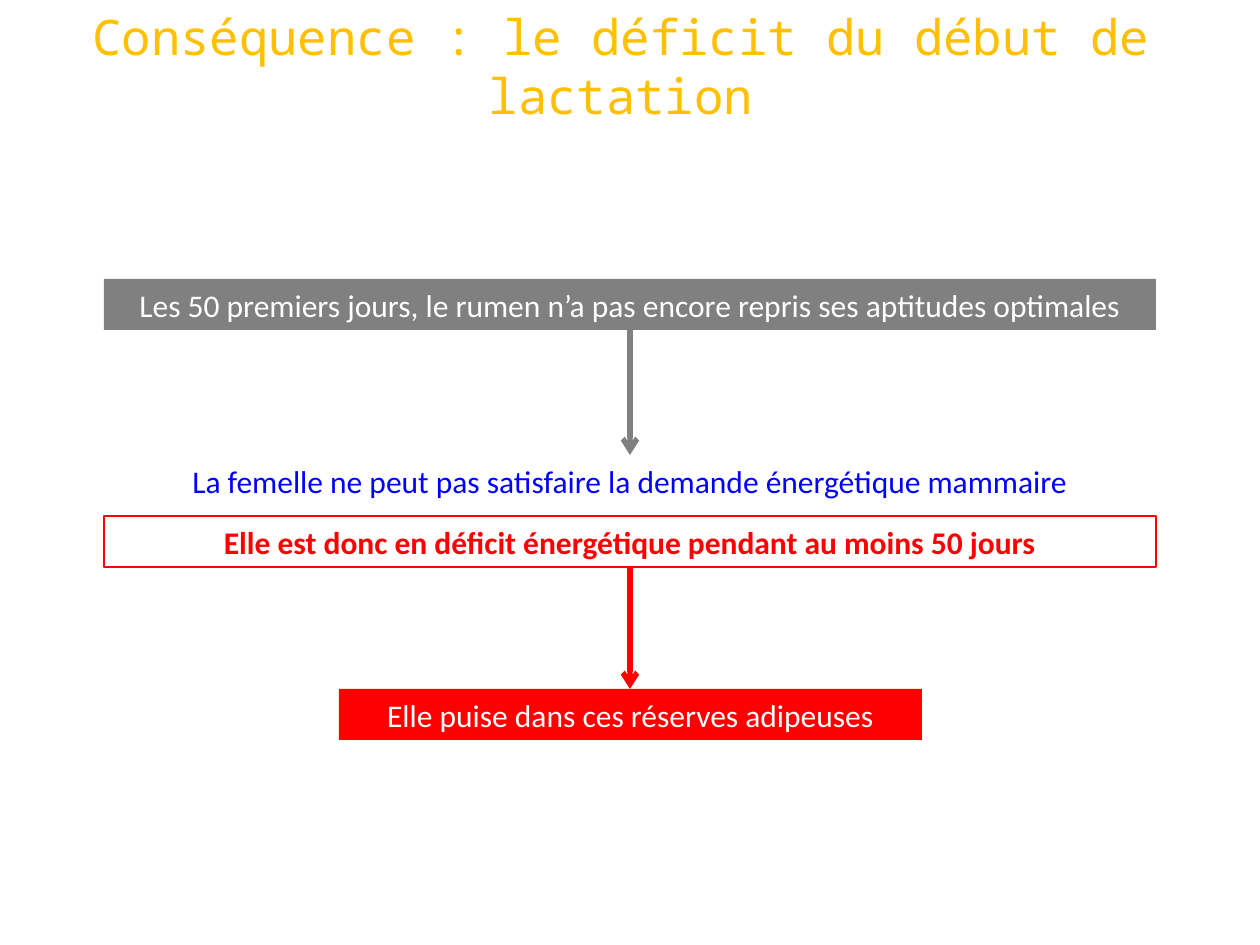
from lxml import etree
from pptx import Presentation
from pptx.dml.color import RGBColor
from pptx.enum.shapes import MSO_CONNECTOR, MSO_SHAPE
from pptx.enum.text import MSO_ANCHOR, PP_ALIGN
from pptx.oxml.ns import qn
from pptx.util import Emu, Pt

PX = 914400 // 126
CENTER = PP_ALIGN.CENTER
MIDDLE = MSO_ANCHOR.MIDDLE
RECTANGLE = MSO_SHAPE.RECTANGLE
STRAIGHT = MSO_CONNECTOR.STRAIGHT

AMBER = RGBColor(0xFF, 0xC0, 0x00)
GREY = RGBColor(0x80, 0x80, 0x80)
RED = RGBColor(0xFF, 0x00, 0x00)
BLUE = RGBColor(0x00, 0x00, 0xFF)
WHITE = RGBColor(0xFF, 0xFF, 0xFF)

CENTER_X = 630
STEP_HEIGHT = 51


def px(*lengths):
    return [Emu(length * PX) for length in lengths]


def write(shape, text, font_name, size, color, bold=False):
    """Fill a shape with one centred paragraph."""
    frame = shape.text_frame
    frame.word_wrap = True
    frame.vertical_anchor = MIDDLE
    paragraph = frame.paragraphs[0]
    paragraph.text = text
    paragraph.alignment = CENTER
    font = paragraph.font
    font.name = font_name
    font.size = Pt(size)
    font.bold = bold
    font.color.rgb = color


presentation = Presentation()
presentation.slide_width, presentation.slide_height = px(1260, 945)
slide = presentation.slides.add_slide(presentation.slide_layouts[5])

title = slide.shapes.title
title.left, title.top, title.width, title.height = px(54, 17, 1134, 97)
write(title, "Conséquence : le déficit du début de lactation",
      "Noto Sans Mono", 28, AMBER)

# Text, top, width, fill, outline, text colour, bold
steps = [
    ("Les 50 premiers jours, le rumen n’a pas encore repris ses aptitudes optimales",
     279, 1052, GREY, None, WHITE, False),
    ("La femelle ne peut pas satisfaire la demande énergétique mammaire",
     455, 1052, None, None, BLUE, False),
    ("Elle est donc en déficit énergétique pendant au moins 50 jours",
     516, 1052, None, RED, RED, True),
    ("Elle puise dans ces réserves adipeuses",
     689, 583, RED, None, WHITE, False),
]
for text, top, width, fill, outline, color, bold in steps:
    bounds = px(CENTER_X - width // 2, top, width, STEP_HEIGHT)
    if fill or outline:
        step = slide.shapes.add_shape(RECTANGLE, *bounds)
        step.shadow.inherit = False
    else:
        step = slide.shapes.add_textbox(*bounds)
    if fill:
        step.fill.solid()
        step.fill.fore_color.rgb = fill
    else:
        step.fill.background()
    if outline:
        step.line.color.rgb = outline
        step.line.width = Pt(0.75)
    else:
        step.line.fill.background()
    write(step, text, "Calibri", 18, color, bold)

for start, end, color in [(330, 455, GREY), (567, 689, RED)]:
    arrow = slide.shapes.add_connector(
        STRAIGHT, *px(CENTER_X, start, CENTER_X, end))
    arrow.line.color.rgb = color
    arrow.line.width = Pt(3)
    properties = arrow.element.spPr
    etree.SubElement(properties.find(qn("a:ln")), qn("a:tailEnd"), type="arrow")
    etree.SubElement(properties, qn("a:effectLst"))

presentation.save("out.pptx")
